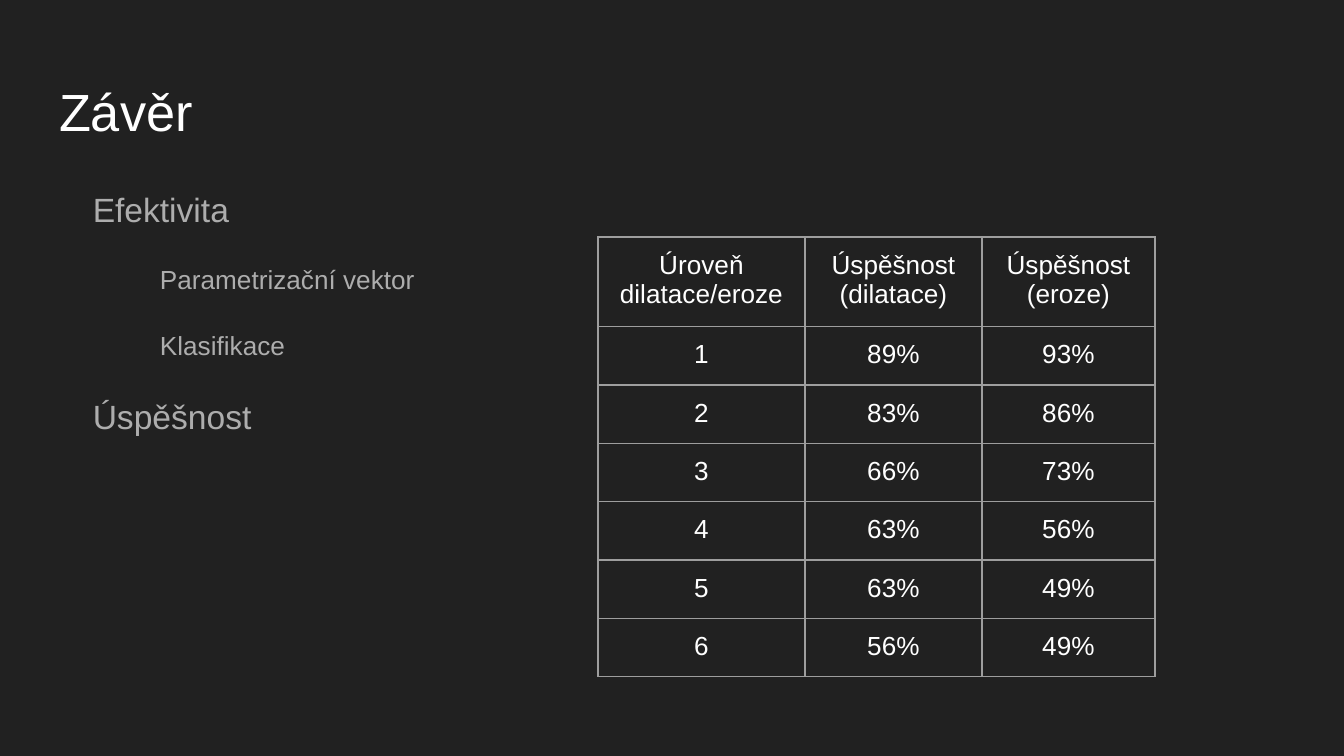
from lxml.etree import SubElement
from pptx import Presentation
from pptx.dml.color import RGBColor
from pptx.enum.text import MSO_ANCHOR, PP_ALIGN
from pptx.oxml.ns import qn
from pptx.util import Emu, Pt

EMU_PER_PIXEL = 914400 / 134.4
FONT = "Arial"
INSET = 13.44
COLORS = {"background": "212121", "white": "FFFFFF", "outline": "ADADAD", "border": "9E9E9E"}

OUTLINE = [
    (0, "Efektivita"),
    (1, "Parametrizační vektor"),
    (1, "Klasifikace"),
    (0, "Úspěšnost"),
]
OUTLINE_SIZES = [18, 14]
RESULTS = [
    ("Úroveň dilatace/eroze", "Úspěšnost (dilatace)", "Úspěšnost (eroze)"),
    ("1", "89%", "93%"),
    ("2", "83%", "86%"),
    ("3", "66%", "73%"),
    ("4", "63%", "56%"),
    ("5", "63%", "49%"),
    ("6", "56%", "49%"),
]
COLUMN_WIDTHS = [207, 177, 173]
ROW_HEIGHT = 51


def px(length):
    """Turn picture pixels into EMU."""
    return Emu(round(length * EMU_PER_PIXEL))


def rgb(name):
    """Look up a named colour."""
    return RGBColor.from_string(COLORS[name])


def style(paragraph, size, color):
    """Format every run of a paragraph."""
    for run in paragraph.runs:
        run.font.name = FONT
        run.font.size = Pt(size)
        run.font.color.rgb = rgb(color)


def set_insets(holder):
    """Give a text frame or a cell equal margins."""
    for side in ("left", "top", "right", "bottom"):
        setattr(holder, f"margin_{side}", px(INSET))


def add_text_area(slide, left, top, width, height):
    """Add a wrapping text box and return its text frame."""
    frame = slide.shapes.add_textbox(px(left), px(top), px(width), px(height)).text_frame
    frame.word_wrap = True
    frame.vertical_anchor = MSO_ANCHOR.TOP
    set_insets(frame)
    return frame


def add_title(slide, text):
    """Add the slide heading."""
    frame = add_text_area(slide, 46, 66, 1253, 84)
    frame.text = text
    style(frame.paragraphs[0], 28, "white")


def add_outline(slide, items):
    """Add the two-level outline with hanging indents."""
    frame = add_text_area(slide, 46, 169, 1253, 503)
    frame.text = "\n".join(text for _, text in items)
    for paragraph, (level, _) in zip(frame.paragraphs, items):
        paragraph.level = level
        paragraph.line_spacing = 1.15
        paragraph.space_after = Pt(16)
        properties = paragraph._p.get_or_add_pPr()
        properties.set("marL", str(px(67.2 * (level + 1))))
        properties.set("indent", str(-px(33.6)))
        style(paragraph, OUTLINE_SIZES[level], "outline")


def add_borders(cell):
    """Draw a thin line on all four sides of a cell."""
    properties = cell._tc.get_or_add_tcPr()
    for position, side in enumerate(("lnL", "lnR", "lnT", "lnB")):
        line = properties.makeelement(qn(f"a:{side}"), {"w": str(Pt(0.75))})
        fill = SubElement(line, qn("a:solidFill"))
        SubElement(fill, qn("a:srgbClr"), val=COLORS["border"])
        properties.insert(position, line)


def add_results(slide, rows):
    """Add the table of success rates."""
    frame = slide.shapes.add_table(
        len(rows), len(COLUMN_WIDTHS), px(598), px(237),
        px(sum(COLUMN_WIDTHS)), px(ROW_HEIGHT * len(rows)))
    table = frame.table
    table.first_row = table.horz_banding = False
    for column, width in zip(table.columns, COLUMN_WIDTHS):
        column.width = px(width)
    for row, values in zip(table.rows, rows):
        row.height = px(ROW_HEIGHT)
        for cell, value in zip(row.cells, values):
            cell.text = value
            cell.fill.background()
            set_insets(cell)
            add_borders(cell)
            paragraph = cell.text_frame.paragraphs[0]
            paragraph.alignment = PP_ALIGN.CENTER
            style(paragraph, 14, "white")


def main():
    """Build and save the slide."""
    deck = Presentation()
    deck.slide_width, deck.slide_height = px(1344), px(756)
    slide = deck.slides.add_slide(deck.slide_layouts[6])
    background = slide.background.fill
    background.solid()
    background.fore_color.rgb = rgb("background")
    add_title(slide, "Závěr")
    add_outline(slide, OUTLINE)
    add_results(slide, RESULTS)
    deck.save("out.pptx")


main()
